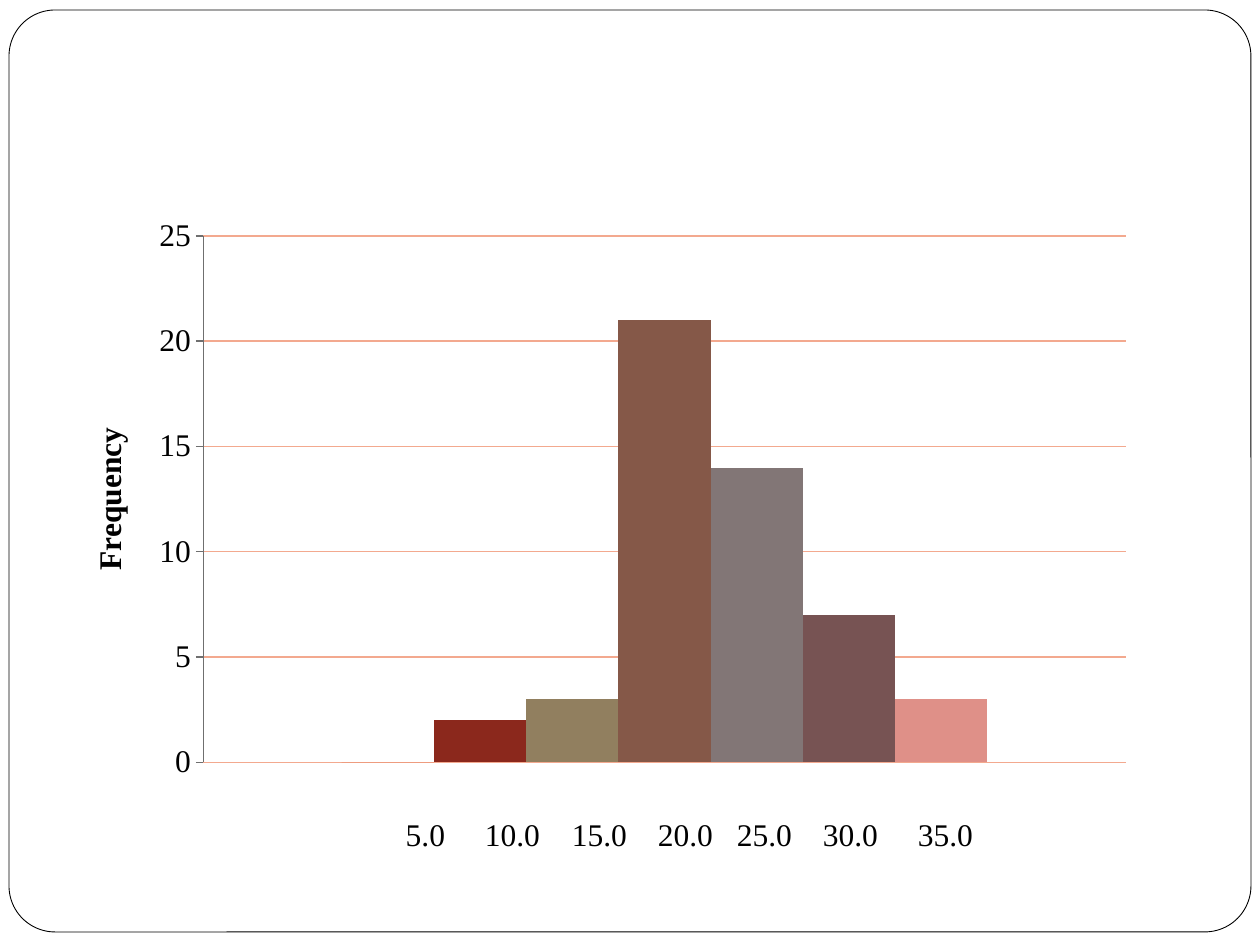
from lxml import etree
from pptx import Presentation
from pptx.chart.data import CategoryChartData
from pptx.dml.color import RGBColor
from pptx.enum.chart import XL_CHART_TYPE, XL_TICK_MARK
from pptx.enum.shapes import MSO_SHAPE
from pptx.oxml import parse_xml
from pptx.oxml.ns import nsdecls, qn
from pptx.util import Emu, Pt

PX_PER_INCH = 126
FONT = "Times New Roman"
BLACK = "000000"
FREQUENCIES = [0, 2, 3, 21, 14, 7, 3]
BAR_COLORS = ["D34817", "8B281C", "917F5F", "855848", "827676", "775353", "DF9088"]
# Class boundary and its centre, measured from the left of the text
BOUNDARIES = [("5.0", 35), ("10.0", 122), ("15.0", 209), ("20.0", 295),
              ("25.0", 374), ("30.0", 460), ("35.0", 555)]


def px(length):
    return Emu(round(length * 914400 / PX_PER_INCH))


def rgb(value):
    return RGBColor.from_string(value)


def style_font(font, bold=False):
    font.name = FONT
    font.size = Pt(18)
    font.bold = bold
    font.color.rgb = rgb(BLACK)


def style_line(line, color, width):
    line.color.rgb = rgb(color)
    line.width = Pt(width)


def add_frame(slide):
    frame = slide.shapes.add_shape(MSO_SHAPE.ROUNDED_RECTANGLE,
                                   px(9), px(10), px(1242), px(922))
    frame.adjustments[0] = 0.05
    frame.shadow.inherit = False
    frame.fill.solid()
    frame.fill.fore_color.rgb = rgb("FFFFFF")
    style_line(frame.line, BLACK, 0.5)


def place_plot(chart, x, y, w, h):
    """Fix the inner plot area, in fractions of the chart."""
    plot_area = chart.plots[0]._element.getparent()
    for old in plot_area.findall(qn("c:layout")):
        plot_area.remove(old)
    plot_area.insert(0, parse_xml(
        f'<c:layout {nsdecls("c")}><c:manualLayout><c:layoutTarget val="inner"/>'
        f'<c:xMode val="edge"/><c:yMode val="edge"/><c:x val="{x}"/><c:y val="{y}"/>'
        f'<c:w val="{w}"/><c:h val="{h}"/></c:manualLayout></c:layout>'))


def style_frequency_axis(axis):
    axis.minimum_scale, axis.maximum_scale, axis.major_unit = 0, 25, 5
    axis.major_tick_mark = XL_TICK_MARK.OUTSIDE
    axis.minor_tick_mark = XL_TICK_MARK.NONE
    style_line(axis.format.line, "6F6F6F", 0.75)
    style_line(axis.major_gridlines.format.line, "F3A98F", 0.75)
    style_font(axis.tick_labels.font)
    title = axis.axis_title.text_frame
    run = title.paragraphs[0].add_run()
    run.text = "Frequency"
    style_font(run.font, bold=True)
    body = title._txBody.find(qn("a:bodyPr"))
    body.set("rot", "-5400000")
    body.set("vert", "horz")


def add_histogram(slide):
    data = CategoryChartData()
    data.categories = ["1"]
    for number, frequency in enumerate(FREQUENCIES, 1):
        data.add_series(f"Series {number}", [frequency])
    chart = slide.shapes.add_chart(XL_CHART_TYPE.COLUMN_CLUSTERED,
                                   px(73), px(210), px(1113), px(683), data).chart
    chart.has_legend = False
    chart.has_title = False
    style_font(chart.font)
    bars = chart.plots[0]
    bars.gap_width = 300
    bars.overlap = 0
    bars.vary_by_categories = False
    for series, color in zip(bars.series, BAR_COLORS):
        series.format.fill.solid()
        series.format.fill.fore_color.rgb = rgb(color)
    chart.category_axis.visible = False
    style_frequency_axis(chart.value_axis)
    place_plot(chart, 0.117, 0.038, 0.829, 0.771)


def add_boundary_labels(slide):
    labels = slide.shapes.add_textbox(px(378), px(809), px(714), px(50))
    labels.text_frame.word_wrap = True
    paragraph = labels.text_frame.paragraphs[0]
    stops = etree.SubElement(paragraph._p.get_or_add_pPr(), qn("a:tabLst"))
    for _, centre in BOUNDARIES:
        etree.SubElement(stops, qn("a:tab"), pos=str(int(px(centre))), algn="ctr")
    run = paragraph.add_run()
    run.text = "".join(f"\t{boundary}" for boundary, _ in BOUNDARIES)
    style_font(run.font)


def main():
    deck = Presentation()
    deck.slide_width, deck.slide_height = px(1260), px(945)
    slide = deck.slides.add_slide(deck.slide_layouts[6])
    add_frame(slide)
    add_histogram(slide)
    add_boundary_labels(slide)
    deck.save("out.pptx")


if __name__ == "__main__":
    main()
